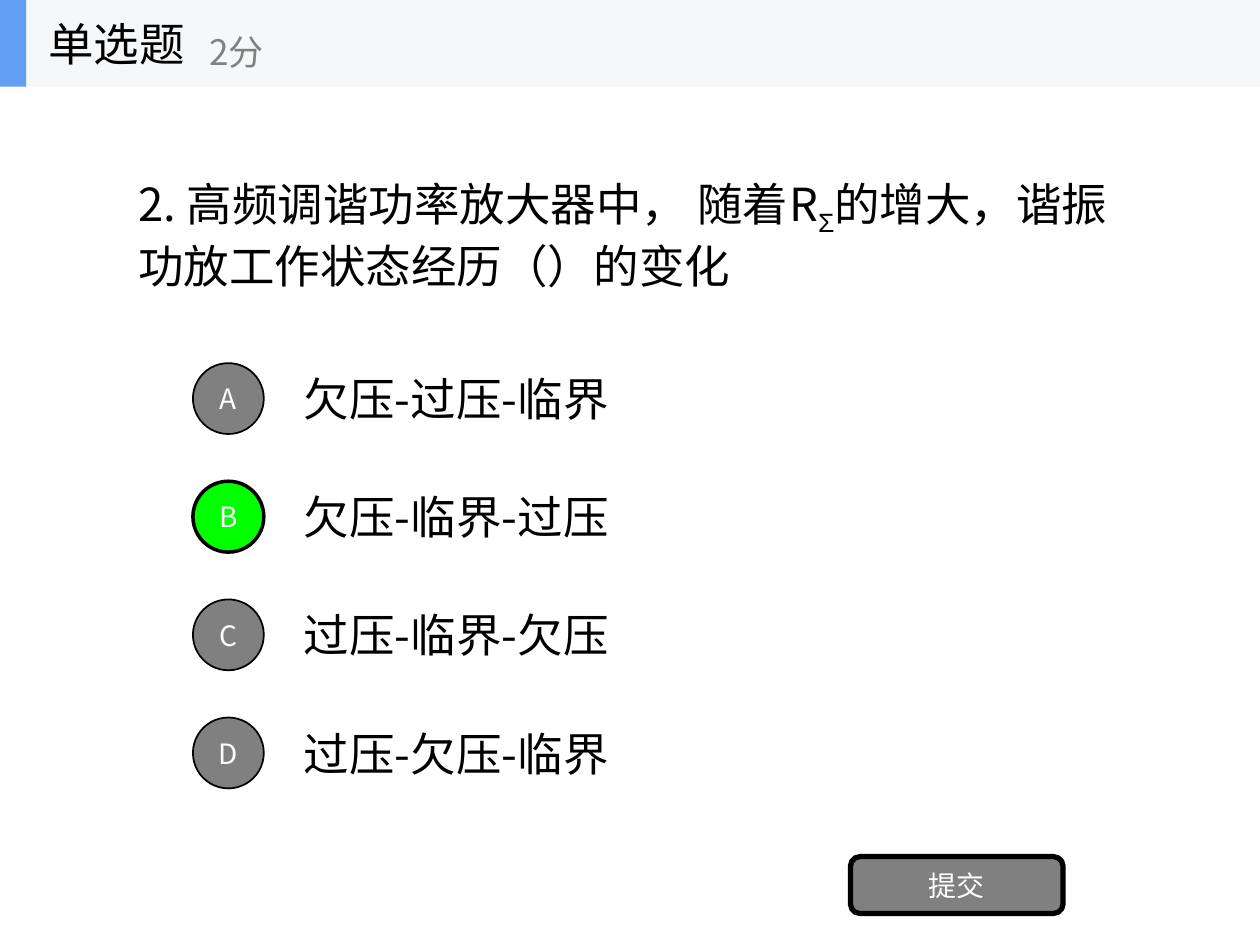
import pptx
import pptx.util
import pptx.dml.color
import pptx.enum.shapes
import pptx.enum.text
import pptx.oxml
import pptx.oxml.ns
from dataclasses import dataclass

Pt = pptx.util.Pt
Kind = pptx.enum.shapes.MSO_SHAPE
Align = pptx.enum.text.PP_ALIGN


@dataclass(frozen=True)
class Theme:
    face: str = "Noto Sans CJK SC"
    sigma: str = "Arial"
    ink: str = "000000"
    gray: str = "808080"
    white: str = "FFFFFF"
    right: str = "00FF00"
    band: str = "F6F7F8"
    mark: str = "639EF4"
    big: int = 26
    mid: int = 20
    small: int = 16


def color(code):
    return pptx.dml.color.RGBColor.from_string(code)


class Quiz:
    def __init__(self, slide, theme):
        self.slide = slide
        self.theme = theme

    def style(self, para, size, tint, align=Align.LEFT):
        """Set one paragraph's font, for East Asian text as well."""
        para.alignment = align
        para.font.size = Pt(size)
        para.font.name = self.theme.face
        para.font.color.rgb = color(tint)
        props = para._p.pPr.find(pptx.oxml.ns.qn("a:defRPr"))
        props.append(pptx.oxml.parse_xml(
            f'<a:ea {pptx.oxml.ns.nsdecls("a")} typeface="{self.theme.face}"/>'))

    def fit(self, frame):
        frame.word_wrap = True
        frame.auto_size = pptx.enum.text.MSO_AUTO_SIZE.NONE
        frame.vertical_anchor = pptx.enum.text.MSO_ANCHOR.MIDDLE

    def title(self, text, left, top, width, height):
        shape = self.slide.shapes.title
        shape.left, shape.top = Pt(left), Pt(top)
        shape.width, shape.height = Pt(width), Pt(height)
        # The header band must lie behind the title.
        self.slide.shapes.element.append(shape.element)
        self.fit(shape.text_frame)
        shape.text_frame.text = text
        self.style(shape.text_frame.paragraphs[0], self.theme.big, self.theme.ink)

    def text(self, parts, left, top, width, height, size, tint):
        """Add a text box; parts pairs each run's text with whether it is a subscript."""
        box = self.slide.shapes.add_textbox(Pt(left), Pt(top), Pt(width), Pt(height))
        self.fit(box.text_frame)
        para = box.text_frame.paragraphs[0]
        self.style(para, size, tint)
        for words, sub in parts:
            run = para.add_run()
            run.text = words
            if sub:
                run.font.name = self.theme.sigma
                run.font._element.set("baseline", "-25000")

    def shape(self, kind, left, top, width, height, fill, line=0, label=""):
        shape = self.slide.shapes.add_shape(
            kind, Pt(left), Pt(top), Pt(width), Pt(height))
        shape.shadow.inherit = False
        shape.fill.solid()
        shape.fill.fore_color.rgb = color(fill)
        if line:
            shape.line.color.rgb = color(self.theme.ink)
            shape.line.width = Pt(line)
        else:
            shape.line.fill.background()
        if label:
            frame = shape.text_frame
            self.fit(frame)
            frame.margin_left = frame.margin_right = 0
            frame.margin_top = frame.margin_bottom = 0
            frame.text = label
            self.style(frame.paragraphs[0], self.theme.small,
                       self.theme.white, Align.CENTER)


def main():
    deck = pptx.Presentation()
    deck.slide_width, deck.slide_height = Pt(720), Pt(540)
    theme = Theme()
    quiz = Quiz(deck.slides.add_slide(deck.slide_layouts[5]), theme)

    head = 49.5
    quiz.shape(Kind.RECTANGLE, 0, 0, 720, head, theme.band)
    quiz.shape(Kind.RECTANGLE, 0, 0, 15, head, theme.mark)
    quiz.title("单选题", 20.25, 0, 150, head)
    quiz.text([("2分", False)], 112.5, 9, 180, 40.5, theme.mid, theme.gray)

    quiz.text([("2. 高频调谐功率放大器中， 随着R", False), ("Σ", True),
               ("的增大，谐振功放工作状态经历（）的变化", False)],
              72, head, 576, 168.75, theme.big, theme.ink)

    answer = "B"
    choices = {"A": "欠压-过压-临界", "B": "欠压-临界-过压",
               "C": "过压-临界-欠压", "D": "过压-欠压-临界"}
    row, pitch, disc = 50.5, 67.5, 40.5
    for index, (key, words) in enumerate(choices.items()):
        top = 202.5 + index * pitch
        fill, line = (theme.right, 2) if key == answer else (theme.gray, 1)
        quiz.text([(words, False)], 166.5, top, 504, row, theme.big, theme.ink)
        quiz.shape(Kind.OVAL, 110.25, top + (row - disc) / 2, disc, disc,
                   fill, line, key)

    quiz.shape(Kind.ROUNDED_RECTANGLE, 486, 489.5, 121.5, 32.5,
               theme.gray, 3, "提交")
    deck.save("out.pptx")


if __name__ == "__main__":
    main()
